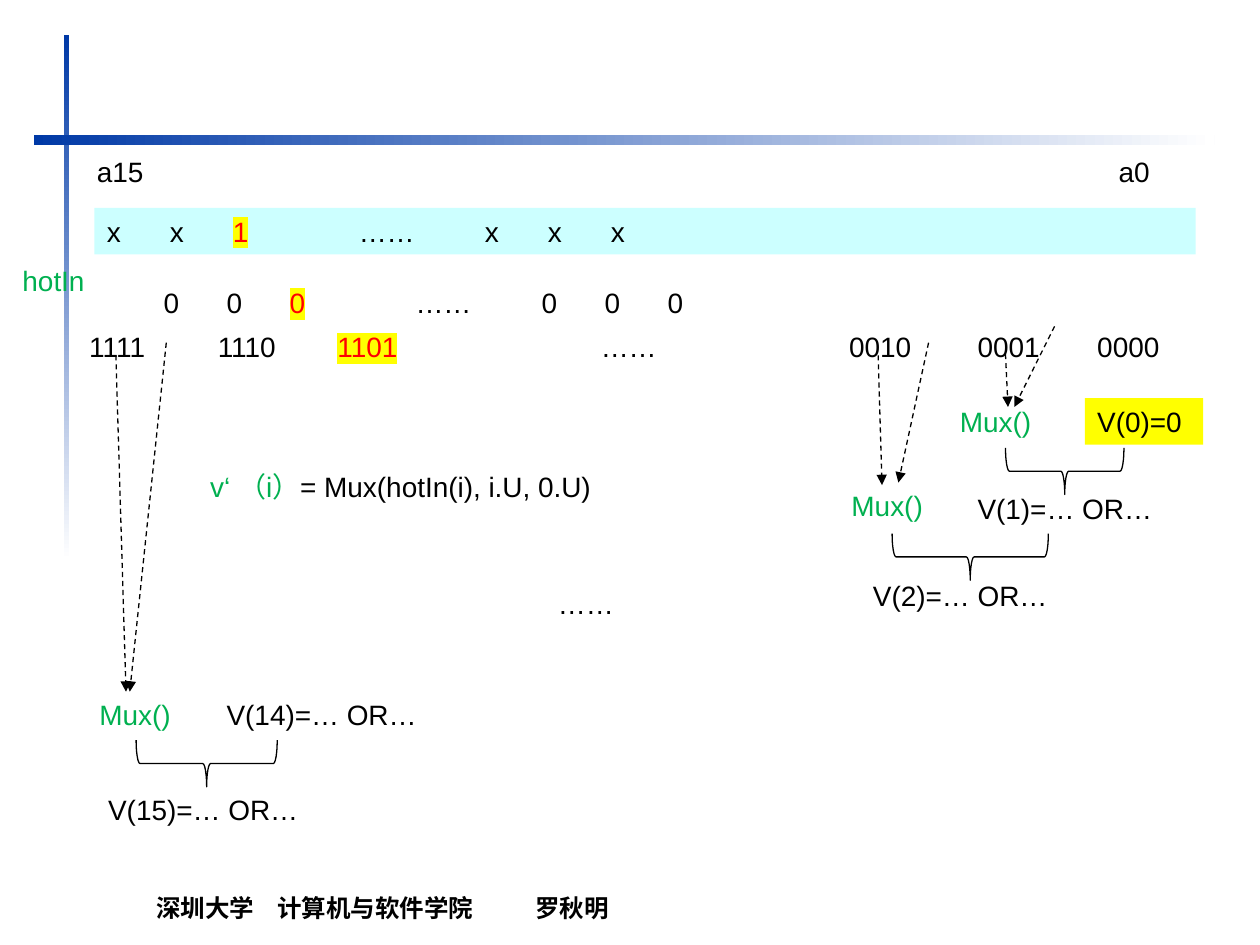
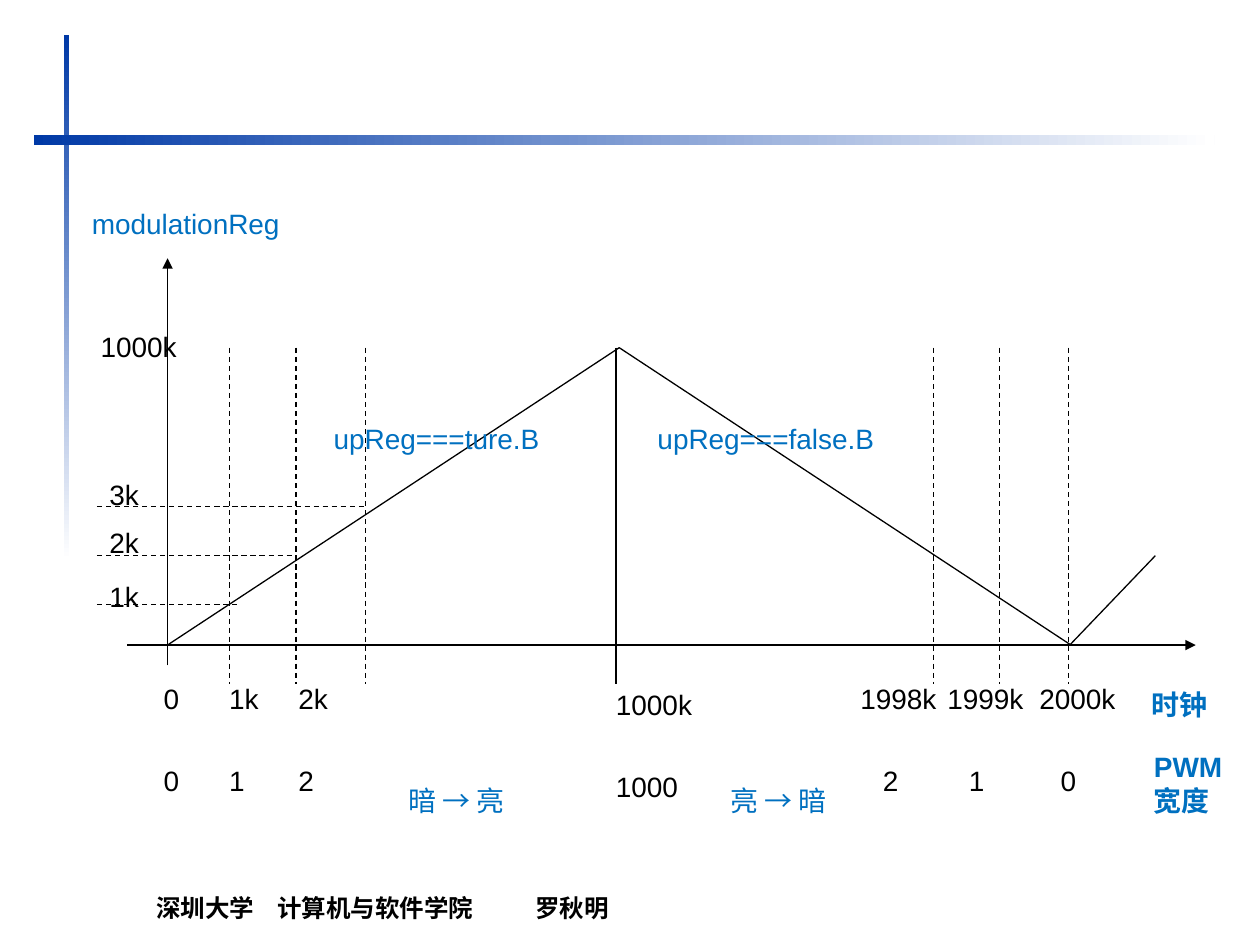
from lxml.etree import SubElement
from pptx import Presentation
from pptx.dml.color import RGBColor
from pptx.enum.dml import MSO_LINE
from pptx.enum.shapes import MSO_CONNECTOR, MSO_SHAPE
from pptx.enum.text import MSO_ANCHOR, MSO_AUTO_SIZE
from pptx.oxml.ns import qn
from pptx.util import Inches, Pt

FONT = "Arial"
COLORS = {"black": "000000", "navy": "0039A6", "white": "FFFFFF", "cyan": "CCFFFF",
          "yellow": "FFFF00", "red": "FF0000", "green": "00B050", "blue": "0070C0"}
ROW_H = 0.37
BRACE_H = 0.37

FOOTER = "深圳大学\t计算机与软件学院\t罗秋明"
FOOTER_TABS = (0.96, 3.01)
BANDS = [(0.51, 0.28, 0.04, 4.17, 270), (0.27, 1.07, 9.37, 0.08, 0)]

HOT_BITS = [("x\tx\t", "black"), ("1", "red", "yellow"), ("\t\t……\t\tx\tx\tx", "black")]
ZERO_BITS = [("0\t0\t", "black"), ("0", "red", "yellow"), ("\t\t……\t\t0\t0\t0", "black")]
BIT_ENDS = [("a15", 0.67, 0.94), ("a0", 8.78, 0.75)]
CODE_TOP = 2.57
CODES = [(0.61, ("1111", "black")), (1.63, ("1110", "black")),
         (2.58, ("1101", "red", "yellow")), (4.67, ("……", "black")),
         (6.64, ("0010", "black")), (7.66, ("0001", "black")), (8.61, ("0000", "black"))]
FORMULA = [("v‘ （i）", "green"), ("= Mux(hotIn(i), i.U, 0.U)", "black")]
OR_RESULTS = [("V(1)=… OR…", 7.66, 3.85), ("V(2)=… OR…", 6.83, 4.54),
              ("V(14)=… OR…", 1.7, 5.49), ("V(15)=… OR…", 0.76, 6.24)]
BRACES = [(8.45, 3.74, 0.94), (7.7, 4.42, 1.24), (1.64, 6.06, 1.12)]
MUXES = [
    {"at": (7.52, 3.16), "inputs": [((7.98, 2.81), (8, 3.23)), ((8.37, 2.59), (8.05, 3.23))]},
    {"at": (6.66, 3.83), "inputs": [((6.97, 2.82), (7, 3.85)), ((7.37, 2.72), (7.13, 3.83))]},
    {"at": (0.69, 5.49), "inputs": [((0.92, 2.82), (1, 5.49)), ((1.32, 2.72), (1.03, 5.49))]},
]
MUX_W = 0.94

PEAK_Y, ZERO_Y, RULER_END = 2.76, 5.12, 5.43
AXES = [((1.01, ZERO_Y), (9.49, ZERO_Y)), ((1.33, 5.28), (1.33, 2.05))]
RULERS = [1.82, 2.35, 2.9, 7.41, 7.93, 8.48]
LEVELS = [(4.8, 1.88), (4.41, 2.35), (4.02, 2.9)]
LEVEL_LABELS = [("1k", 0.77, 4.55, 0.55), ("2k", 0.77, 4.12, 0.55),
                ("3k", 0.77, 3.74, 0.55), ("1000k", 0.7, 2.57, 1.02)]
CLOCK_TOP, PWM_TOP, PEAK_DROP = 5.36, 6.01, 0.05
TICKS = [("0", 1.2, "0", 1.2, 0.55), ("1k", 1.72, "1", 1.72, 0.55),
         ("2k", 2.27, "2", 2.27, 0.55), ("1000k", 4.79, "1000", 4.79, 0.84),
         ("1998k", 6.73, "2", 6.91, 0.94), ("1999k", 7.42, "1", 7.59, 0.81),
         ("2000k", 8.15, "0", 8.32, 0.91)]
AXIS_NAMES = [("时钟", 9.04, 5.41, ROW_H), ("PWM宽度", 9.06, 5.9, 0.64)]
WAVE_NOTES = [("modulationReg", 0.63, 1.59, 1.71), ("upReg===ture.B", 2.55, 3.3, 1.86),
              ("upReg===false.B", 5.12, 3.3, 1.94), ("暗 → 亮", 3.14, 6.17, 1.06),
              ("亮 → 暗", 5.7, 6.17, 1.06)]


def rgb(name):
    return RGBColor.from_string(COLORS[name])


def write(frame, runs, size=16, bold=False, wrap=True):
    frame.word_wrap = wrap
    frame.auto_size = MSO_AUTO_SIZE.SHAPE_TO_FIT_TEXT
    for words, color, *highlight in runs:
        run = frame.paragraphs[0].add_run()
        run.text = words
        font = run.font
        font.size, font.bold = Pt(size), bold
        font.color.rgb = rgb(color)
        for marker in highlight:
            mark = SubElement(font._element, qn("a:highlight"))
            SubElement(mark, qn("a:srgbClr")).set("val", COLORS[marker])
        font.name = FONT


def label(slide, runs, left, top, width, height=ROW_H, fill=None, **style):
    box = slide.shapes.add_textbox(Inches(left), Inches(top), Inches(width), Inches(height))
    if fill:
        box.fill.solid()
        box.fill.fore_color.rgb = rgb(fill)
    write(box.text_frame, runs, **style)
    return box


def outline(slide, kind, left, top, width, height):
    shape = slide.shapes.add_shape(kind, Inches(left), Inches(top), Inches(width), Inches(height))
    shape.shadow.inherit = False
    shape.fill.background()
    shape.line.color.rgb = rgb("black")
    shape.line.width = Pt(0.75)
    return shape


def line(slide, start, end, dash=False, arrow=False):
    link = slide.shapes.add_connector(MSO_CONNECTOR.STRAIGHT, *map(Inches, start + end))
    link.line.color.rgb = rgb("black")
    link.line.width = Pt(0.75)
    if dash:
        link.line.dash_style = MSO_LINE.DASH
    if arrow:
        SubElement(link.line._get_or_add_ln(), qn("a:tailEnd")).set("type", "triangle")
    SubElement(link._element.spPr, qn("a:effectLst"))
    return link


def new_slide(prs):
    slide = prs.slides.add_slide(prs.slide_layouts[6])
    for left, top, width, height, angle in BANDS:
        band = outline(slide, MSO_SHAPE.RECTANGLE, left, top, width, height)
        band.line.fill.background()
        band.fill.gradient()
        band.fill.gradient_angle = angle
        for stop, color in zip(band.fill.gradient_stops, ("navy", "white")):
            stop.color.rgb = rgb(color)
    footer = slide.shapes.add_textbox(Inches(1.14), Inches(6.98), Inches(9.05), Inches(0.39))
    tabs = SubElement(footer.text_frame.paragraphs[0]._p.get_or_add_pPr(), qn("a:tabLst"))
    for position in FOOTER_TABS:
        tab = SubElement(tabs, qn("a:tab"))
        tab.set("pos", str(Inches(position)))
        tab.set("algn", "l")
    write(footer.text_frame, [(FOOTER, "black")], size=14, bold=True)
    footer.text_frame.auto_size = MSO_AUTO_SIZE.NONE
    footer.text_frame.vertical_anchor = MSO_ANCHOR.BOTTOM
    return slide


def encoder_slide(prs):
    slide = new_slide(prs)
    label(slide, HOT_BITS, 0.75, 1.65, 8.74, fill="cyan")
    label(slide, [("hotIn", "green")], 0.08, 2.04, 0.79)
    label(slide, ZERO_BITS, 1.2, 2.22, 8.5)
    for words, left, width in BIT_ENDS:
        label(slide, [(words, "black")], left, 1.18, width)
    for left, run in CODES:
        label(slide, [run], left, CODE_TOP, 0.79)
    label(slide, FORMULA, 1.57, 3.68, 3.55)
    label(slide, [("……", "black")], 4.33, 4.61, 0.79)
    label(slide, [("V(0)=0", "black")], 8.61, 3.16, 0.94, fill="yellow")
    for words, left, top in OR_RESULTS:
        label(slide, [(words, "black")], left, top, 1.89)
    for center_x, center_y, span in BRACES:
        brace = outline(slide, MSO_SHAPE.RIGHT_BRACE, center_x - BRACE_H / 2,
                        center_y - span / 2, BRACE_H, span)
        brace.rotation = 90
    for mux in MUXES:
        left, top = mux["at"]
        box = label(slide, [("Mux()", "green")], left, top, MUX_W)
        for start, end in mux["inputs"]:
            arrow = line(slide, start, end, dash=True, arrow=True)
            if end == (round(left + MUX_W / 2, 2), top):
                arrow.end_connect(box, 0)


def modulation_slide(prs):
    slide = new_slide(prs)
    for start, end in AXES:
        line(slide, start, end, arrow=True)
    outline(slide, MSO_SHAPE.ISOSCELES_TRIANGLE, 1.33, PEAK_Y, 7.17, ZERO_Y - PEAK_Y)
    line(slide, (4.89, PEAK_Y), (4.89, RULER_END))
    line(slide, (8.49, ZERO_Y), (9.17, 4.41))
    for x in RULERS:
        line(slide, (x, PEAK_Y), (x, RULER_END), dash=True)
    for y, right in LEVELS:
        line(slide, (0.77, y), (right, y), dash=True)
    for words, left, top, width in LEVEL_LABELS:
        label(slide, [(words, "black")], left, top, width)
    for clock, clock_left, pwm, pwm_left, width in TICKS:
        drop = PEAK_DROP if clock == "1000k" else 0
        label(slide, [(clock, "black")], clock_left, CLOCK_TOP + drop, width)
        label(slide, [(pwm, "black")], pwm_left, PWM_TOP + drop, width)
    for words, left, top, height in AXIS_NAMES:
        label(slide, [(words, "blue")], left, top, 0.91, height, bold=True)
    for words, left, top, width in WAVE_NOTES:
        label(slide, [(words, "blue")], left, top, width, wrap=False)


def main():
    prs = Presentation()
    prs.slide_width, prs.slide_height = Inches(10), Inches(7.5)
    encoder_slide(prs)
    modulation_slide(prs)
    prs.save("out.pptx")


if __name__ == "__main__":
    main()
